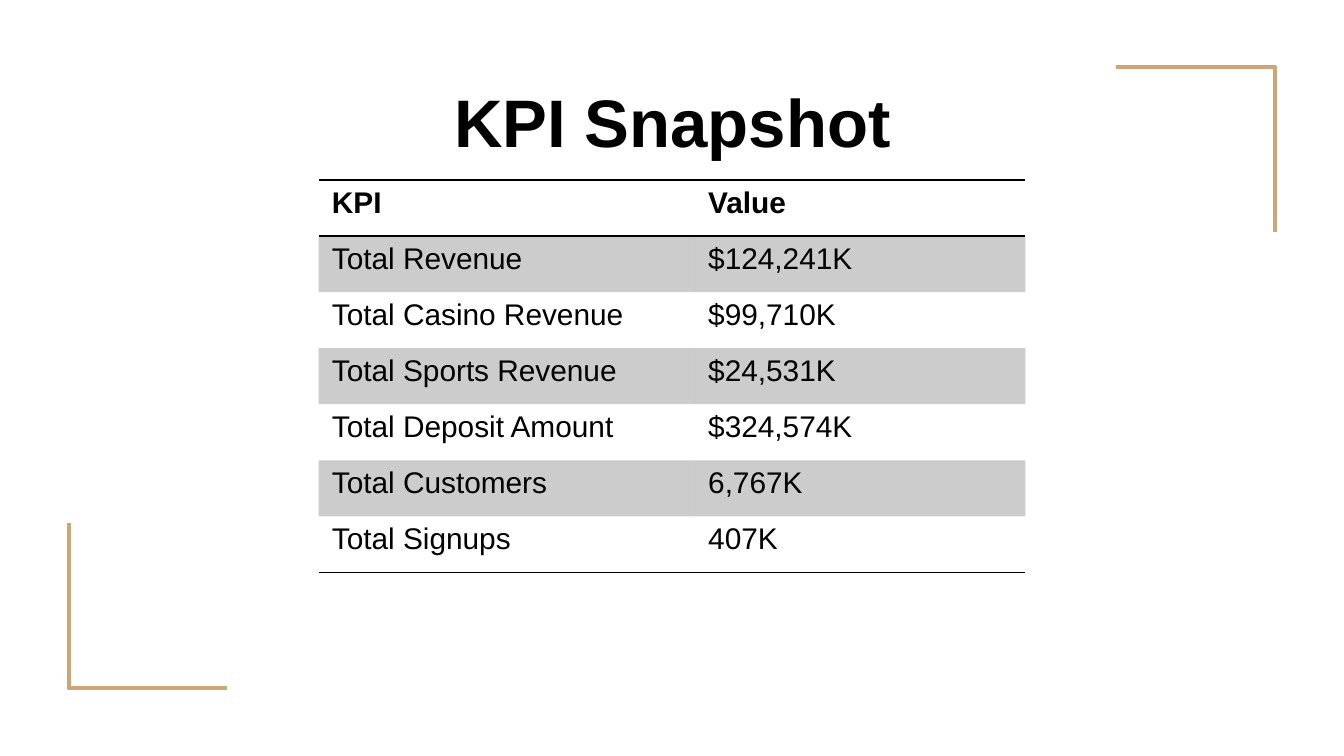
from typing import NamedTuple

from lxml import etree
from pptx import Presentation
from pptx.dml.color import RGBColor
from pptx.enum.text import MSO_ANCHOR, MSO_AUTO_SIZE, PP_ALIGN
from pptx.oxml.ns import qn
from pptx.util import Cm, Pt

MIDDLE = MSO_ANCHOR.MIDDLE
NO_AUTOFIT = MSO_AUTO_SIZE.NONE
CENTER = PP_ALIGN.CENTER

BLACK = RGBColor(0x00, 0x00, 0x00)
TAN = RGBColor(0xCC, 0xA6, 0x77)

FONT = "Arial"
TITLE_ONLY_LAYOUT = 5
PLAIN_TABLE_STYLE = "{2D5ABB26-0587-4C30-8999-92F81FD0307C}"
BAND_OPACITY = 20
ROW_HEIGHT = Cm(1.06)
COLUMN_WIDTHS = (Cm(7.11), Cm(6.25))


class Bracket(NamedTuple):
    """A corner bracket; the arms run from the corner in the given directions."""
    corner_x: float
    corner_y: float
    x_direction: int
    y_direction: int


class Kpi(NamedTuple):
    label: str
    value: str


BRACKETS = (
    Bracket(24.1, 1.27, -1, 1),
    Bracket(1.3, 13.01, 1, -1),
)
BRACKET_WIDTH = 3.0
BRACKET_HEIGHT = 3.12

HEADER = Kpi("KPI", "Value")
KPIS = (
    Kpi("Total Revenue", "$124,241K"),
    Kpi("Total Casino Revenue", "$99,710K"),
    Kpi("Total Sports Revenue", "$24,531K"),
    Kpi("Total Deposit Amount", "$324,574K"),
    Kpi("Total Customers", "6,767K"),
    Kpi("Total Signups", "407K"),
)


def style_font(paragraph, size: float, bold: bool) -> None:
    font = paragraph.font
    font.name = FONT
    font.size = Pt(size)
    font.bold = bold
    font.color.rgb = BLACK


def draw_bracket(slide, bracket: Bracket) -> None:
    x, y = bracket.corner_x, bracket.corner_y
    arm_x = x + bracket.x_direction * BRACKET_WIDTH
    arm_y = y + bracket.y_direction * BRACKET_HEIGHT
    builder = slide.shapes.build_freeform(Cm(x), Cm(arm_y))
    builder.add_line_segments([(Cm(x), Cm(y)), (Cm(arm_x), Cm(y))], close=False)
    outline = builder.convert_to_shape()
    outline.shadow.inherit = False
    outline.fill.background()
    outline.line.color.rgb = TAN
    outline.line.width = Pt(2.25)


def draw_title(slide, heading: str) -> None:
    title = slide.shapes.title
    title.left, title.top, title.width, title.height = (
        Cm(1.8), Cm(0.66), Cm(21.82), Cm(3.23))
    frame = title.text_frame
    frame.text = heading
    frame.auto_size = NO_AUTOFIT
    frame.vertical_anchor = MIDDLE
    frame.margin_left = frame.margin_right = Cm(0.25)
    frame.margin_top = frame.margin_bottom = Cm(0.25)
    frame.paragraphs[0].alignment = CENTER
    style_font(frame.paragraphs[0], 36, True)


def add_rule(cell, side: str) -> None:
    """Draw a 1 pt black border; side is lnT or lnB, called in that order."""
    properties = cell._tc.get_or_add_tcPr()
    rule = etree.Element(qn(f"a:{side}"), w=str(Pt(1)))
    fill = etree.SubElement(rule, qn("a:solidFill"))
    etree.SubElement(fill, qn("a:srgbClr"), val=str(BLACK))
    position = len(properties.findall(qn("a:lnT")))
    properties.insert(position, rule)


def shade(cell) -> None:
    cell.fill.solid()
    cell.fill.fore_color.rgb = BLACK
    color = cell._tc.tcPr.find(f".//{qn('a:srgbClr')}")
    etree.SubElement(color, qn("a:alpha"), val=str(BAND_OPACITY * 1000))


def draw_kpi_table(slide, kpis: tuple[Kpi, ...]) -> None:
    rows = (HEADER, *kpis)
    table = slide.shapes.add_table(
        len(rows), len(COLUMN_WIDTHS), Cm(6.02), Cm(3.4),
        sum(COLUMN_WIDTHS), ROW_HEIGHT * len(rows)).table
    table.horz_banding = False
    table._tbl.tblPr.find(qn("a:tableStyleId")).text = PLAIN_TABLE_STYLE
    for column, width in zip(table.columns, COLUMN_WIDTHS):
        column.width = width

    for row_index, kpi in enumerate(rows):
        is_header = row_index == 0
        table.rows[row_index].height = ROW_HEIGHT
        for column_index, wording in enumerate(kpi):
            cell = table.cell(row_index, column_index)
            cell.text = wording
            style_font(cell.text_frame.paragraphs[0], 16, is_header)
            if row_index % 2:
                shade(cell)
            else:
                cell.fill.background()
            if is_header:
                add_rule(cell, "lnT")
            if is_header or row_index == len(kpis):
                add_rule(cell, "lnB")


def main() -> None:
    presentation = Presentation()
    presentation.slide_width = Cm(25.4)
    presentation.slide_height = Cm(14.29)
    slide = presentation.slides.add_slide(
        presentation.slide_layouts[TITLE_ONLY_LAYOUT])
    for bracket in BRACKETS:
        draw_bracket(slide, bracket)
    draw_title(slide, "KPI Snapshot")
    draw_kpi_table(slide, KPIS)
    presentation.save("out.pptx")


if __name__ == "__main__":
    main()
